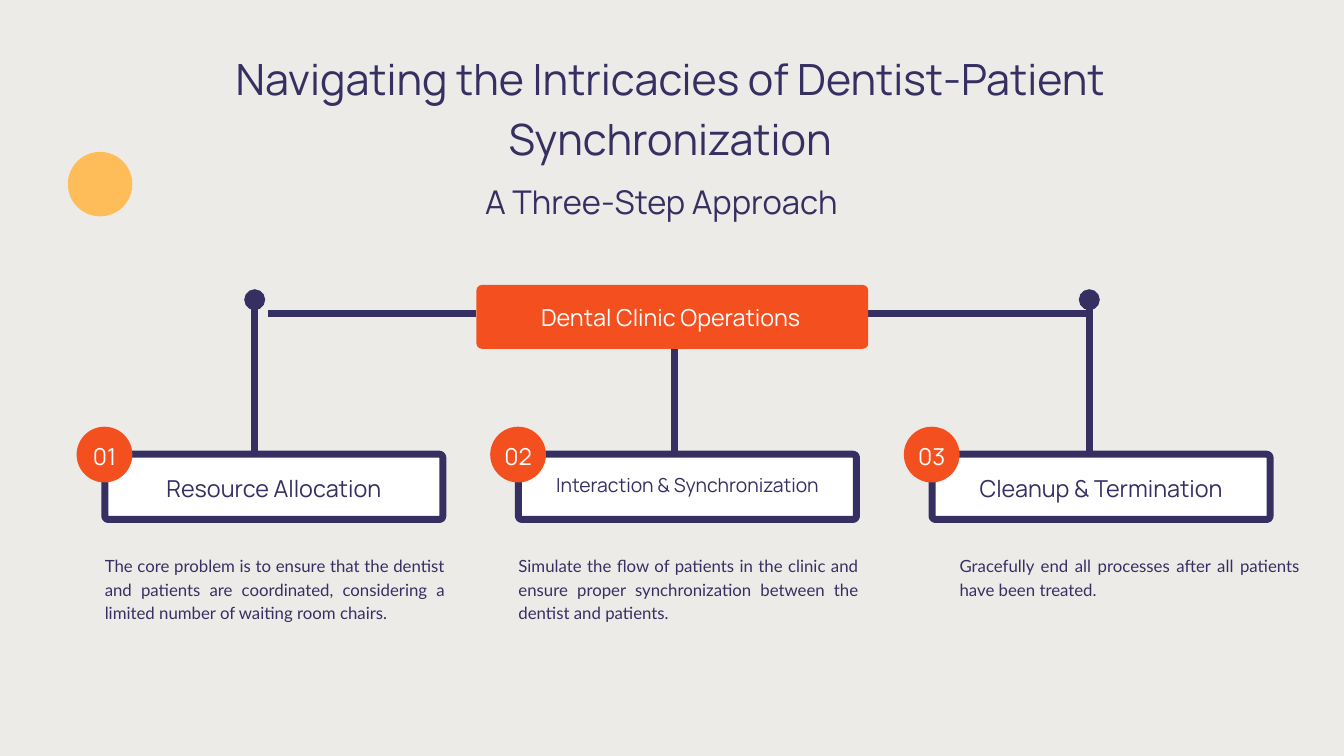
from lxml.etree import SubElement
from pptx import Presentation
from pptx.dml.color import RGBColor
from pptx.enum.shapes import MSO_CONNECTOR, MSO_SHAPE
from pptx.enum.text import PP_ALIGN
from pptx.oxml.ns import qn
from pptx.util import Inches, Pt

NAVY, ORANGE, YELLOW = "363062", "F44F1F", "FFBD59"
WHITE, CREAM = "FFFFFF", "EDEBE8"
STEP_PITCH = 6.155
STEPS = [
    ("Resource Allocation", 25, 35, 0.42,
     "The core problem is to ensure that the dentist and patients are "
     "coordinated, considering a limited number of waiting room chairs."),
    ("Interaction & Synchronization", 20.7, 29, 0.42,
     "Simulate the flow of patients in the clinic and ensure proper "
     "synchronization between the dentist and patients."),
    ("Cleanup & Termination", 25, 35, 0.83,
     "Gracefully end all processes after all patients have been treated."),
]


def color(value):
    return RGBColor.from_string(value)


def add_panel(slide, preset, left, top, width, height, fill, border=None, radius=None):
    panel = slide.shapes.add_shape(
        preset, Inches(left), Inches(top), Inches(width), Inches(height))
    panel.shadow.inherit = False
    panel.fill.solid()
    panel.fill.fore_color.rgb = color(fill)
    if border:
        panel.line.color.rgb = color(border)
        panel.line.width = Pt(7.5)
    else:
        panel.line.fill.background()
    if radius:
        panel.adjustments[0] = radius / height


def add_text(slide, left, top, width, height, words, size, leading,
             ink=NAVY, face="Manrope", align=PP_ALIGN.CENTER):
    frame = slide.shapes.add_textbox(
        Inches(left), Inches(top), Inches(width), Inches(height)).text_frame
    frame.word_wrap = True
    frame.margin_left = frame.margin_right = 0
    frame.margin_top = frame.margin_bottom = 0
    paragraph = frame.paragraphs[0]
    paragraph.text = words
    paragraph.alignment = align
    paragraph.line_spacing = Pt(leading)
    paragraph.font.size = Pt(size)
    paragraph.font.name = face
    paragraph.font.color.rgb = color(ink)


def add_branch(slide, start_x, start_y, end_x, end_y, dot=False):
    branch = slide.shapes.add_connector(
        MSO_CONNECTOR.STRAIGHT,
        Inches(start_x), Inches(start_y), Inches(end_x), Inches(end_y))
    branch.line.color.rgb = color(NAVY)
    branch.line.width = Pt(7.5)
    if dot:
        SubElement(branch.line._get_or_add_ln(), qn("a:tailEnd"), type="oval")
    SubElement(branch._element.spPr, qn("a:effectLst"))


def add_heading(slide, left, top, width):
    add_text(slide, left, top, width, 1.9,
             "Navigating the Intricacies of Dentist-Patient Synchronization", 46.1, 64.5)
    add_text(slide, left + 3.53, top + 1.96, 9.71, 0.7, "A Three-Step Approach", 35, 49)


def add_tree(slide, left, top, width, height):
    right, bar_y, bottom = left + width, top + 0.2, top + height
    add_branch(slide, right, bottom, right, top, dot=True)
    add_branch(slide, left + 6.24, bottom, left + 6.24, bar_y)
    add_branch(slide, left + 3.3, bar_y, left + 0.2, bar_y)
    add_branch(slide, right, bar_y, left + 8.07, bar_y)
    add_branch(slide, left, bottom, left, top, dot=True)


def add_banner(slide, left, top, width, height):
    add_panel(slide, MSO_SHAPE.ROUNDED_RECTANGLE, left, top, width, height, ORANGE, radius=0.08)
    add_text(slide, left + 0.35, top + 0.2, 5.08, 0.5,
             "Dental Clinic Operations", 25, 35, WHITE)


def add_step(slide, left, top, number, step):
    title, size, leading, detail_inset, detail = step
    card_left, card_top, card_width = left + 0.42, top + 0.41, 5.03
    badge = 0.83
    add_panel(slide, MSO_SHAPE.ROUNDED_RECTANGLE, card_left, card_top, card_width, 0.97,
              WHITE, NAVY, 0.05)
    add_panel(slide, MSO_SHAPE.OVAL, left, top, badge, badge, ORANGE)
    add_text(slide, left + 0.1, top + 0.16, badge - 0.2, 0.48, f"{number:02}", 25, 35, WHITE)
    add_text(slide, card_left, top + 0.63, card_width, 0.5, title, size, leading)
    add_text(slide, left + detail_inset, top + 1.87, 5.06, 1.05, detail, 18, 25.2,
             face="Lato", align=PP_ALIGN.JUSTIFY)


def main():
    deck = Presentation()
    deck.slide_width, deck.slide_height = Inches(20), Inches(11.25)
    slide = deck.slides.add_slide(deck.slide_layouts[6])
    slide.background.fill.solid()
    slide.background.fill.fore_color.rgb = color(CREAM)
    add_tree(slide, 3.79, 4.46, 12.42, 2.75)
    for index, step in enumerate(STEPS):
        add_step(slide, 1.14 + index * STEP_PITCH, 6.35, index + 1, step)
    add_banner(slide, 7.09, 4.24, 5.83, 0.95)
    add_panel(slide, MSO_SHAPE.OVAL, 1.01, 2.26, 0.96, 0.96, YELLOW)
    add_heading(slide, 1.46, 0.65, 17.03)
    deck.save("out.pptx")


if __name__ == "__main__":
    main()
